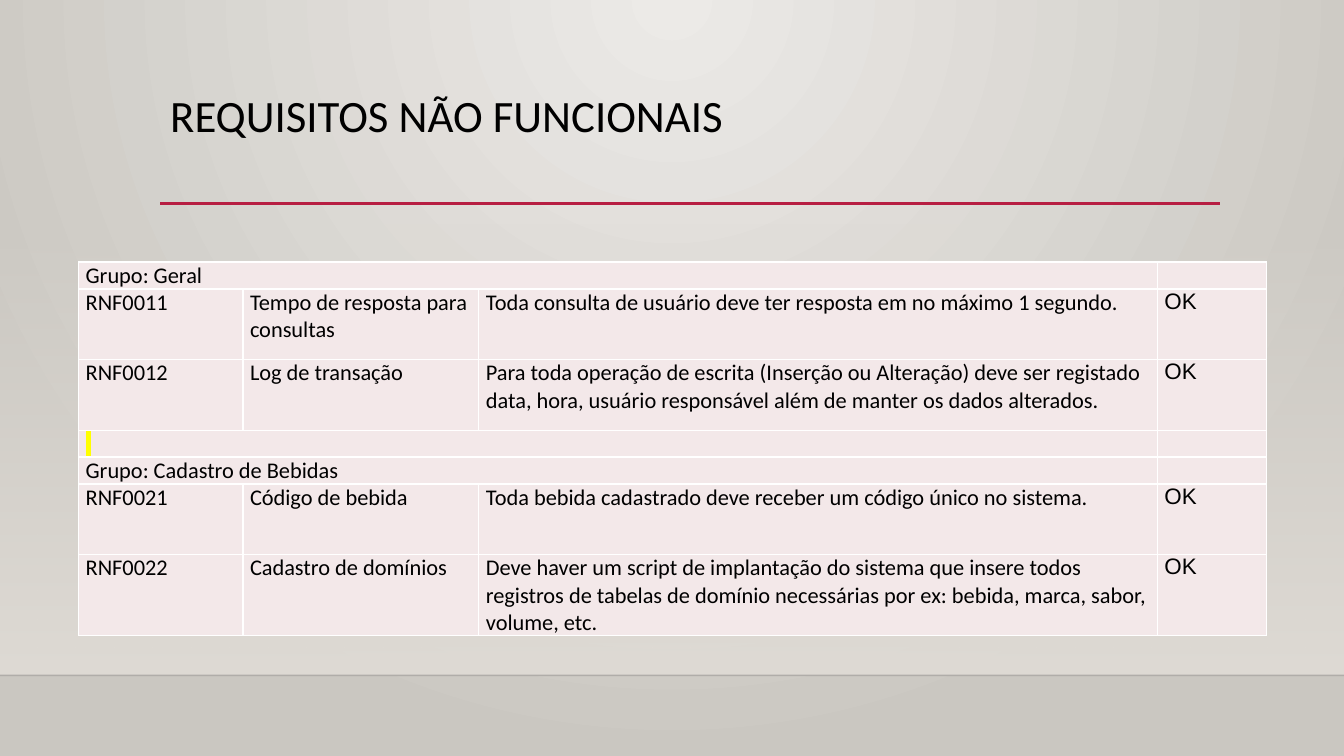
"""Builds the slide of non-functional requirements."""
import pptx
import pptx.util
import pptx.dml.color
import pptx.enum.shapes
import pptx.enum.text
import pptx.oxml
import pptx.oxml.ns
from lxml import etree

Inches = pptx.util.Inches
Pt = pptx.util.Pt
qn = pptx.oxml.ns.qn


class SlideBuilder:
    """Holds the style and the current slide."""

    colors = {"text": "000000", "accent": "B71E42", "cell": "F3E8E9",
              "border": "FFFFFF", "marker": "FFFF00", "floor": "000001",
              "glow": "ECEAE7", "edge": "CAC7C1", "wall": "DFDBD5"}
    font = "Calibri"
    cell_size = 16

    def __init__(self, presentation):
        self.slide = presentation.slides.add_slide(presentation.slide_layouts[6])

    def color(self, key):
        """Return the named colour."""
        return pptx.dml.color.RGBColor.from_string(self.colors[key])

    def gradient(self, fill, start, end):
        """Give a fill two gradient stops."""
        fill.gradient()
        for stop, key, position in zip(fill.gradient_stops, (start, end), (0, 1)):
            stop.color.rgb = self.color(key)
            stop.position = position

    def alpha(self, element, percent):
        """Set the opacity of the first colour inside an element."""
        rgb = element.find(".//" + qn("a:srgbClr"))
        etree.SubElement(rgb, qn("a:alpha")).set("val", str(percent * 1000))

    def background(self, start, end):
        """Fill the background with a glow from the top centre."""
        self.gradient(self.slide.background.fill, start, end)
        grad = self.slide.element.find(".//" + qn("a:gradFill"))
        grad.remove(grad.find(qn("a:lin")))
        circle = etree.SubElement(grad, qn("a:path"))
        circle.set("path", "circle")
        focus = etree.SubElement(circle, qn("a:fillToRect"))
        for side, value in zip("ltrb", (43, 0, 43, 100)):
            focus.set(side, str(value * 1000))

    def fade(self, left, top, width, height, key):
        """Add a rectangle that fades in downwards."""
        panel = self.slide.shapes.add_shape(
            pptx.enum.shapes.MSO_SHAPE.RECTANGLE,
            Inches(left), Inches(top), Inches(width), Inches(height))
        panel.shadow.inherit = False
        panel.line.fill.background()
        self.gradient(panel.fill, key, key)
        panel.fill.gradient_angle = 270
        self.alpha(panel.fill.gradient_stops and panel.element.spPr, 0)

    def rule(self, left, right, y, key, weight, opacity=100):
        """Add a horizontal line."""
        line = self.slide.shapes.add_connector(
            pptx.enum.shapes.MSO_CONNECTOR.STRAIGHT,
            Inches(left), Inches(y), Inches(right), Inches(y))
        line.line.color.rgb = self.color(key)
        line.line.width = Pt(weight)
        if opacity < 100:
            self.alpha(line.element.spPr, opacity)
        etree.SubElement(line.element.spPr, qn("a:effectLst"))

    def run(self, paragraph, text, size, font=None):
        """Add one styled run."""
        run = paragraph.add_run()
        run.text = text
        run.font.size = Pt(size)
        run.font.name = font or self.font
        run.font.color.rgb = self.color("text")
        return run

    def title(self, left, top, width, height, text):
        """Add the slide title."""
        frame = self.slide.shapes.add_textbox(
            Inches(left), Inches(top), Inches(width), Inches(height)).text_frame
        frame.word_wrap = True
        frame.vertical_anchor = pptx.enum.text.MSO_ANCHOR.TOP
        frame.paragraphs[0].line_spacing = 0.9
        self.run(frame.paragraphs[0], text, 32)

    def highlight(self, run, key):
        """Mark a run with a background colour."""
        mark = etree.Element(qn("a:highlight"))
        etree.SubElement(mark, qn("a:srgbClr")).set("val", self.colors[key])
        run.font.fill
        run.font._element.find(qn("a:solidFill")).addnext(mark)

    def cell(self, cell, text, font):
        """Style and fill one table cell."""
        cell.margin_left = cell.margin_right = Inches(0.07)
        cell.margin_top = cell.margin_bottom = 0
        cell.fill.solid()
        cell.fill.fore_color.rgb = self.color("cell")
        properties = cell._tc.get_or_add_tcPr()
        for index, side in enumerate("LRTB"):
            properties.insert(index, pptx.oxml.parse_xml(
                f'<a:ln{side} {pptx.oxml.ns.nsdecls("a")} w="12700"><a:solidFill>'
                f'<a:srgbClr val="{self.colors["border"]}"/></a:solidFill></a:ln{side}>'))
        paragraph = cell.text_frame.paragraphs[0]
        if text:
            run = self.run(paragraph, text, self.cell_size, font)
            if text == "\u00a0":
                self.highlight(run, "marker")
        else:
            end = etree.SubElement(paragraph._p, qn("a:endParaRPr"))
            end.set("sz", str(self.cell_size * 100))

    def table(self, left, top, widths, rows, heights):
        """Add a table in which one-item rows span all but the last column."""
        grid = self.slide.shapes.add_table(
            len(rows), len(widths), Inches(left), Inches(top),
            Inches(sum(widths)), Inches(sum(heights))).table
        grid.first_row = grid.horz_banding = False
        for column, width in zip(grid.columns, widths):
            column.width = Inches(width)
        last = len(widths) - 1
        for r, (texts, height) in enumerate(zip(rows, heights)):
            grid.rows[r].height = Inches(height)
            padded = texts + ("",) * (len(widths) - len(texts))
            for c, text in enumerate(padded):
                self.cell(grid.cell(r, c), text, "Arial" if c == last else self.font)
            if len(texts) == 1:
                grid.cell(r, 0).merge(grid.cell(r, last - 1))


requirements = [
    ("Grupo: Geral",),
    ("RNF0011", "Tempo de resposta para consultas",
     "Toda consulta de usuário deve ter resposta em no máximo 1 segundo.", "OK"),
    ("RNF0012", "Log de transação",
     "Para toda operação de escrita (Inserção ou Alteração) deve ser registado data, "
     "hora, usuário responsável além de manter os dados alterados.", "OK"),
    ("\u00a0",),
    ("Grupo: Cadastro de Bebidas",),
    ("RNF0021", "Código de bebida",
     "Toda bebida cadastrado deve receber um código único no sistema.", "OK"),
    ("RNF0022", "Cadastro de domínios",
     "Deve haver um script de implantação do sistema que insere todos registros de "
     "tabelas de domínio necessárias por ex: bebida, marca, sabor, volume, etc.", "OK"),
]

deck = pptx.Presentation()
deck.slide_width, deck.slide_height = Inches(13.33), Inches(7.5)
page = SlideBuilder(deck)
page.background("glow", "edge")
page.fade(0, 2.21, 13.33, 4.49, "wall")
page.rule(0, 13.33, 6.7, "floor", 1, opacity=20)
page.rule(1.59, 12.1, 2.02, "accent", 2.5)
page.title(1.59, 0.88, 10.5, 1.15, "REQUISITOS NÃO FUNCIONAIS")
page.table(0.78, 2.6, (1.63, 2.34, 6.73, 1.08), requirements,
           [0.23 if len(row) == 1 else 0.7 for row in requirements])
deck.save("out.pptx")
